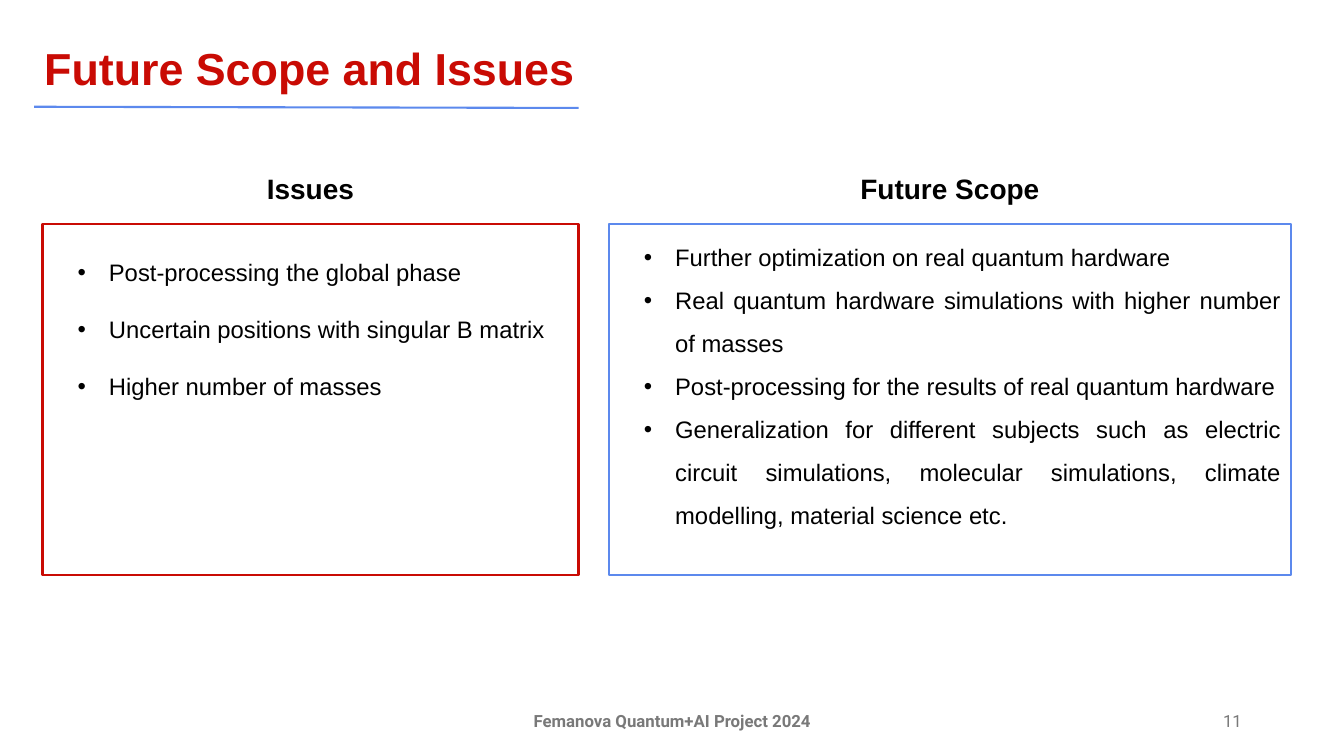
import pptx
import pptx.dml.color
import pptx.enum.shapes
import pptx.enum.text
import pptx.oxml
import pptx.oxml.ns
import pptx.util
from pptx.util import Cm

COLORS = {
    "red": "C90B04",
    "blue": "5C89ED",
    "black": "000000",
    "grey": "797979",
    "white": "FFFFFF",
}
ALIGN = pptx.enum.text.PP_ALIGN
ANCHOR = pptx.enum.text.MSO_ANCHOR

BOX_TOP, BOX_HEIGHT = 5.64, 8.85
HEADING_TOP, HEADING_WIDTH, HEADING_HEIGHT = 4.19, 7.49, 1.12
FOOTER_TOP, FOOTER_HEIGHT = 17.65, 1.02
COLUMNS = [
    dict(heading="Issues", left=1.07, width=13.51, color="red", spacing=2, items=[
        "Post-processing the global phase",
        "Uncertain positions with singular B matrix",
        "Higher number of masses",
    ]),
    dict(heading="Future Scope", left=15.34, width=17.2, color="blue", spacing=1.5, items=[
        "Further optimization on real quantum hardware",
        "Real quantum hardware simulations with higher number of masses",
        "Post-processing for the results of real quantum hardware",
        "Generalization for different subjects such as electric circuit simulations, "
        "molecular simulations, climate modelling, material science etc.",
    ]),
]


def rgb(name):
    """Return the named colour."""
    return pptx.dml.color.RGBColor.from_string(COLORS[name])


def place(sp, left, top, width, height):
    """Move and size a shape, in centimetres."""
    sp.left, sp.top, sp.width, sp.height = Cm(left), Cm(top), Cm(width), Cm(height)


def write(p, text, size=17, font="Arial", color="black", bold=False, align=ALIGN.LEFT, spacing=1):
    """Fill a paragraph with one formatted run."""
    p.alignment, p.line_spacing = align, spacing
    p.space_before = p.space_after = pptx.util.Pt(0)
    r = p.add_run()
    r.text = text
    r.font.name, r.font.size, r.font.bold = font, pptx.util.Pt(size), bold
    r.font.color.rgb = rgb(color)


def add_bullet(p):
    """Give a paragraph a hanging bullet."""
    pPr = p._p.get_or_add_pPr()
    pPr.set("marL", str(Cm(1.42)))
    pPr.set("indent", str(Cm(-0.79)))
    for tag, key, value in (("a:buFont", "typeface", "Arial"), ("a:buChar", "char", "•")):
        bu = pptx.oxml.ns.qn(tag)
        pPr.append(pPr.makeelement(bu, {key: value}))


def fill_label(sp, text, anchor=ANCHOR.TOP, **fmt):
    """Write a single line into a shape."""
    tf = sp.text_frame
    tf.word_wrap, tf.auto_size = True, pptx.enum.text.MSO_AUTO_SIZE.NONE
    tf.vertical_anchor = anchor
    write(tf.paragraphs[0], text, **fmt)


def fill_list(sp, items, color, spacing):
    """Write a bulleted list into an outlined box."""
    sp.fill.solid()
    sp.fill.fore_color.rgb = rgb("white")
    sp.line.color.rgb = rgb(color)
    sp.line.width = pptx.util.Pt(1.5)
    tf = sp.text_frame
    tf.word_wrap, tf.auto_size = True, pptx.enum.text.MSO_AUTO_SIZE.NONE
    for i, item in enumerate(items):
        p = tf.add_paragraph() if i else tf.paragraphs[0]
        write(p, item, align=ALIGN.JUSTIFY, spacing=spacing)
        add_bullet(p)


def add_column(heading_sp, list_sp, heading, left, width, color, spacing, items):
    """Build a list box with its heading centred above it."""
    place(heading_sp, left + (width - HEADING_WIDTH) / 2, HEADING_TOP, HEADING_WIDTH, HEADING_HEIGHT)
    fill_label(heading_sp, heading, size=20, bold=True, align=ALIGN.CENTER)
    place(list_sp, left, BOX_TOP, width, BOX_HEIGHT)
    fill_list(list_sp, items, color, spacing)


def add_rule(s, x1, y1, x2, y2, color):
    """Draw a thin line without a shadow."""
    line = s.shapes.add_connector(
        pptx.enum.shapes.MSO_CONNECTOR.STRAIGHT, Cm(x1), Cm(y1), Cm(x2), Cm(y2))
    line.line.color.rgb = rgb(color)
    line.line.width = pptx.util.Pt(1.5)
    spPr = line._element.spPr
    spPr.append(spPr.makeelement(pptx.oxml.ns.qn("a:effectLst"), {}))


def add_footer(s, left, width, text, **fmt):
    """Add a grey text box at the foot of the slide."""
    sp = s.shapes.add_textbox(Cm(left), Cm(FOOTER_TOP), Cm(width), Cm(FOOTER_HEIGHT))
    fill_label(sp, text, anchor=ANCHOR.MIDDLE, size=12, font="Roboto", color="grey", **fmt)


def main():
    """Build and save the slide."""
    prs = pptx.Presentation()
    prs.slide_width, prs.slide_height = Cm(33.87), Cm(19.05)
    s = prs.slides.add_slide(prs.slide_layouts.get_by_name("Comparison"))
    title, *bodies = s.placeholders
    place(title, 0.86, 0.91, 15.85, 1.63)
    fill_label(title, "Future Scope and Issues", size=32, color="red", bold=True)
    add_rule(s, 0.86, 2.69, 14.58, 2.72, "blue")
    for heading_sp, list_sp, column in zip(bodies[::2], bodies[1::2], COLUMNS):
        add_column(heading_sp, list_sp, **column)
    add_footer(s, 11.23, 11.43, "Femanova Quantum+AI Project 2024", bold=True, align=ALIGN.CENTER)
    add_footer(s, 23.93, 7.62, "11", align=ALIGN.RIGHT)
    prs.save("out.pptx")


if __name__ == "__main__":
    main()
